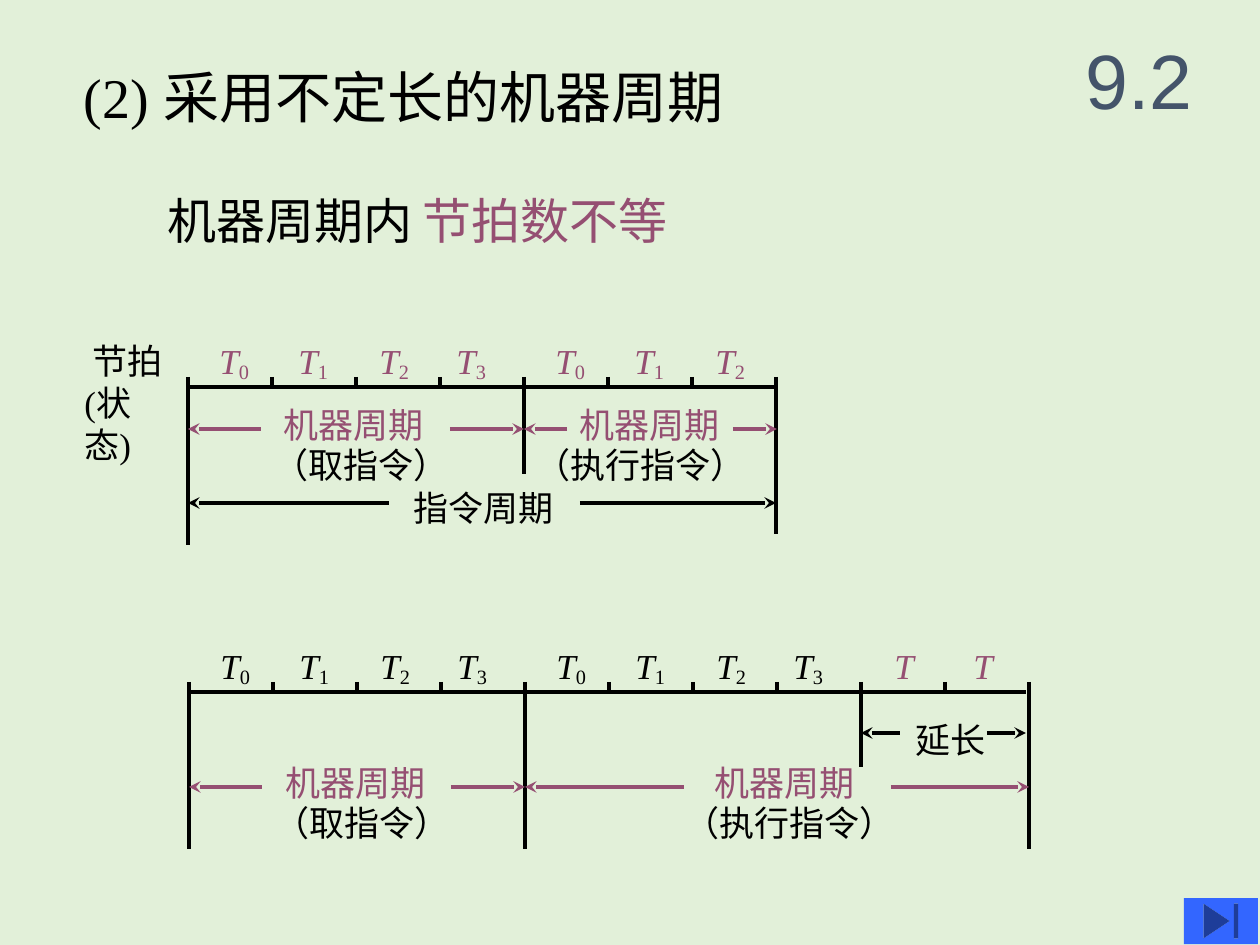
from dataclasses import dataclass

from lxml.etree import SubElement
from pptx import Presentation
from pptx.dml.color import RGBColor
from pptx.enum.shapes import MSO_CONNECTOR, MSO_SHAPE
from pptx.enum.text import MSO_ANCHOR, MSO_AUTO_SIZE, PP_ALIGN
from pptx.oxml.ns import qn
from pptx.util import Emu, Pt

BLACK, PLUM, SLATE = "000000", "954F72", "44546A"
SERIF = "Times New Roman"
STEP, TICK = 84, 10
BEATS = (19, 98, 179, 256)


@dataclass
class Arrow:
    start: int
    end: int
    y: int
    color: str = PLUM


@dataclass
class Label:
    text: str
    x: int
    y: int
    width: int
    color: str = BLACK


@dataclass
class Chart:
    left: int
    axis: int
    right: int
    drops: dict[int, int]
    beats: int
    color: str
    extra: int
    arrows: list[Arrow]
    labels: list[Label]


def px(size: int) -> Emu:
    return Emu(round(size * 914400 / 126))


def rgb(color: str) -> RGBColor:
    return RGBColor.from_string(color)


def style(run, color: str, size: int, face: str = SERIF) -> None:
    run.font.name = face
    run.font.size = Pt(size)
    run.font.color.rgb = rgb(color)


def place(shape, x: int, y: int, width: int, height: int) -> None:
    shape.left, shape.top = px(x), px(y)
    shape.width, shape.height = px(width), px(height)


def write(slide, text: str, x: int, y: int, width: int, height: int = 54,
          color: str = BLACK, size: int = 20, face: str = SERIF,
          wrap: bool = False):
    box = slide.shapes.add_textbox(px(x), px(y), px(width), px(height))
    frame = box.text_frame
    frame.word_wrap = wrap
    frame.auto_size = MSO_AUTO_SIZE.SHAPE_TO_FIT_TEXT
    frame.text = text
    for para in frame.paragraphs:
        for run in para.runs:
            style(run, color, size, face)
    return frame


def draw_line(slide, x: int, y: int, end_x: int, end_y: int,
              color: str = BLACK, tip: bool = False) -> None:
    line = slide.shapes.add_connector(
        MSO_CONNECTOR.STRAIGHT, px(x), px(y), px(end_x), px(end_y))
    line.line.color.rgb = rgb(color)
    line.line.width = Pt(2.25)
    props = line._element.spPr
    if tip:
        SubElement(props.find(qn("a:ln")), qn("a:tailEnd"), type="stealth")
    SubElement(props, qn("a:effectLst"))


def draw_beat(slide, x: int, y: int, color: str, index: str = "") -> None:
    frame = write(slide, "T", x, y, 58 if index else 47, color=color)
    para = frame.paragraphs[0]
    para.runs[0].font.italic = True
    if index:
        run = para.add_run()
        run.text = index
        style(run, color, 20)
        run.font.italic = False
        run.font._element.set("baseline", "-15000")


def draw_chart(slide, chart: Chart) -> None:
    count = chart.beats + chart.extra
    draw_line(slide, chart.left, chart.axis, chart.right, chart.axis)
    for i in range(count + 1):
        x = chart.left + i * STEP
        draw_line(slide, x, chart.axis - TICK, x, chart.drops.get(i, chart.axis))
    for arrow in chart.arrows:
        draw_line(slide, arrow.start, arrow.y, arrow.end, arrow.y,
                  arrow.color, True)
    for label in chart.labels:
        write(slide, label.text, label.x, label.y, label.width,
              color=label.color)
    for i in range(count):
        cycle, beat = divmod(i, len(BEATS))
        x = chart.left + cycle * len(BEATS) * STEP + BEATS[beat]
        y = chart.axis - 54
        if i < chart.beats:
            draw_beat(slide, x, y, chart.color, str(beat))
        else:
            draw_beat(slide, x + 2, y, PLUM)


CHARTS = [
    Chart(188, 387, 776, {0: 545, 4: 474, 7: 534}, 7, PLUM, 0,
          [Arrow(261, 188, 429), Arrow(450, 524, 429),
           Arrow(567, 524, 429), Arrow(733, 777, 429),
           Arrow(389, 188, 503, BLACK), Arrow(580, 776, 503, BLACK)],
          [Label("机器周期", 271, 397, 172, PLUM),
           Label("机器周期", 567, 397, 172, PLUM),
           Label("（取指令）", 261, 437, 208),
           Label("（执行指令）", 523, 437, 242),
           Label("指令周期", 401, 480, 172)]),
    Chart(189, 692, 1026, {0: 849, 4: 849, 8: 767, 10: 849}, 8, BLACK, 2,
          [Arrow(262, 189, 787), Arrow(451, 525, 787),
           Arrow(684, 525, 787), Arrow(891, 1029, 787),
           Arrow(900, 861, 733, BLACK), Arrow(987, 1026, 733, BLACK)],
          [Label("机器周期", 273, 755, 172, PLUM),
           Label("机器周期", 702, 755, 172, PLUM),
           Label("（取指令）", 262, 795, 208),
           Label("（执行指令）", 672, 795, 242),
           Label("延长", 903, 712, 100)]),
]


def main() -> None:
    deck = Presentation()
    deck.slide_width, deck.slide_height = px(1260), px(945)
    slide = deck.slides.add_slide(deck.slide_layouts[5])
    slide.background.fill.solid()
    slide.background.fill.fore_color.rgb = rgb("E2F0D9")

    title = slide.shapes.title
    place(title, 71, 56, 806, 79)
    frame = title.text_frame
    frame.text = "(2) 采用不定长的机器周期"
    frame.auto_size = MSO_AUTO_SIZE.NONE
    frame.vertical_anchor = MSO_ANCHOR.TOP
    frame.paragraphs[0].alignment = PP_ALIGN.LEFT
    style(frame.paragraphs[0].runs[0], BLACK, 32)

    lead = write(slide, "机器周期内 ", 155, 184, 694, 72, size=28, wrap=True)
    run = lead.paragraphs[0].add_run()
    run.text = "节拍数不等"
    style(run, PLUM, 28)

    write(slide, " 节拍\n(状态)", 72, 333, 118, 97, wrap=True)
    for chart in CHARTS:
        draw_chart(slide, chart)

    mark = write(slide, "9.2", 1060, 21, 158, 116, SLATE, 44, "Arial", True)
    mark.auto_size = MSO_AUTO_SIZE.NONE
    mark.vertical_anchor = MSO_ANCHOR.MIDDLE
    mark.paragraphs[0].alignment = PP_ALIGN.CENTER

    button = slide.shapes.add_shape(
        MSO_SHAPE.ACTION_BUTTON_END, px(1184), px(898), px(74), px(46))
    button.shadow.inherit = False
    button.fill.solid()
    button.fill.fore_color.rgb = rgb("3366FF")
    button.line.fill.background()

    deck.save("out.pptx")


if __name__ == "__main__":
    main()
